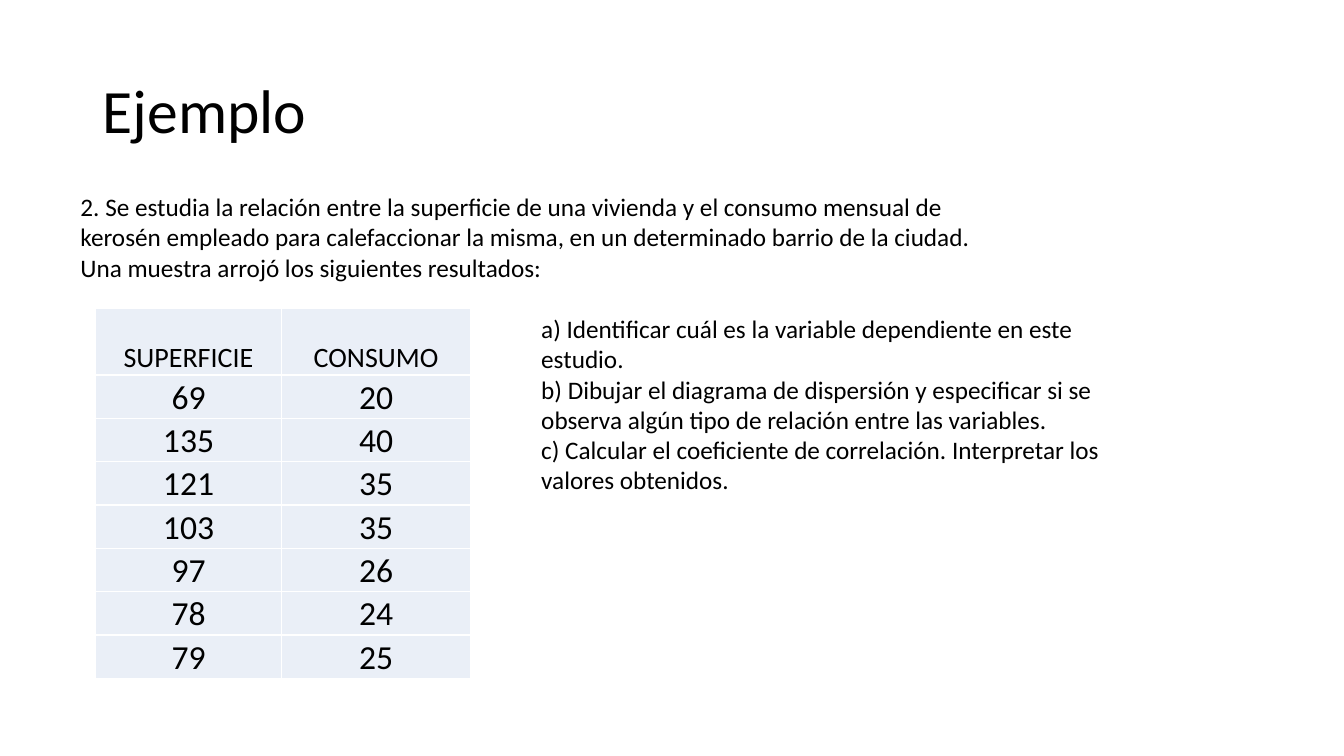
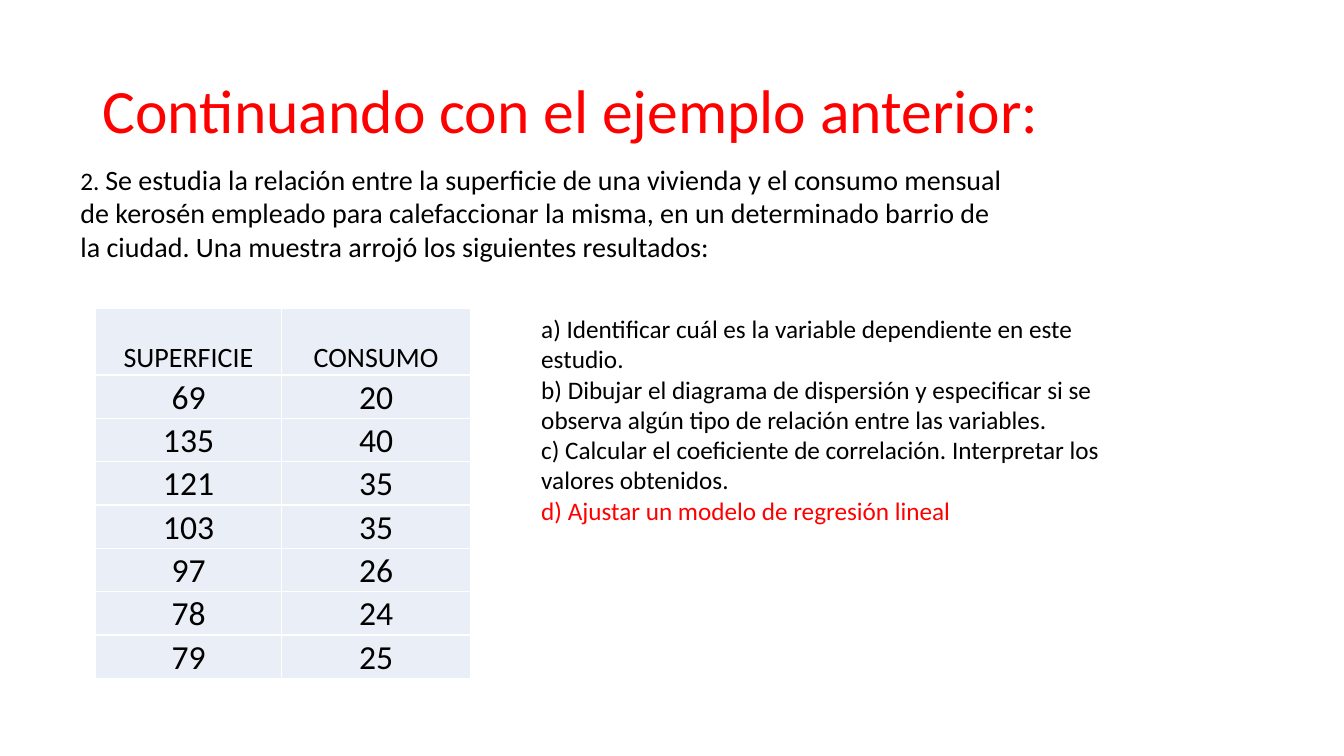
import dataclasses

import lxml.etree
import pptx
import pptx.dml.color
import pptx.enum.text
import pptx.oxml.ns
import pptx.util

PX = 9144
ANCHOR = pptx.enum.text.MSO_ANCHOR
ALIGN = pptx.enum.text.PP_ALIGN
RGB = pptx.dml.color.RGBColor.from_string


@dataclasses.dataclass(frozen=True)
class Theme:
    """Colours, font and type sizes of the slides."""
    font: str = "Calibri"
    ink: str = "000000"
    accent: str = "FF0000"
    cell: str = "EAEFF7"
    border: str = "FFFFFF"
    title: int = 44
    value: int = 24
    large: int = 20
    body: int = 18


THEME = Theme()


def px(n):
    """Turn px into EMU."""
    return pptx.util.Emu(n * PX)


def write(p, text, size=THEME.body, color=THEME.ink, align=None, spacing=None):
    """Add a formatted run to a paragraph."""
    r = p.add_run()
    r.text = text
    r.font.name = THEME.font
    r.font.size = pptx.util.Pt(size)
    r.font.color.rgb = RGB(color)
    if align is not None:
        p.alignment = align
    if spacing is not None:
        p.line_spacing = spacing


class Deck:
    """Builds slides in one style."""

    def __init__(self, width, height):
        """Start an empty presentation."""
        self.prs = pptx.Presentation()
        self.prs.slide_width, self.prs.slide_height = px(width), px(height)
        self.s = None

    def slide(self):
        """Add a blank slide and make it current."""
        self.s = self.prs.slides.add_slide(self.prs.slide_layouts[6])

    def box(self, x, y, w, h):
        """Add a wrapping text box and return its frame."""
        tf = self.s.shapes.add_textbox(px(x), px(y), px(w), px(h)).text_frame
        tf.word_wrap = True
        return tf

    def title(self, text, color):
        """Add the slide title."""
        tf = self.box(92, 40, 1150, 145)
        tf.vertical_anchor = ANCHOR.MIDDLE
        write(tf.paragraphs[0], text, size=THEME.title, color=color, spacing=0.9)

    def text(self, x, y, w, h, paragraphs):
        """Add body text given as paragraphs of (text, format) runs."""
        tf = self.box(x, y, w, h)
        tf.auto_size = pptx.enum.text.MSO_AUTO_SIZE.SHAPE_TO_FIT_TEXT
        for i, runs in enumerate(paragraphs):
            p = tf.add_paragraph() if i else tf.paragraphs[0]
            for text, style in runs:
                write(p, text, **style)

    def cell(self, cell, text, size):
        """Fill one table cell."""
        cell.margin_left = cell.margin_right = cell.margin_top = px(1)
        cell.margin_bottom = 0
        cell.vertical_anchor = ANCHOR.BOTTOM
        tc_pr = cell._tc.get_or_add_tcPr()
        qn = pptx.oxml.ns.qn
        for side in "LRTB":
            ln = lxml.etree.SubElement(tc_pr, qn(f"a:ln{side}"), w=str(pptx.util.Pt(1)))
            fill = lxml.etree.SubElement(ln, qn("a:solidFill"))
            lxml.etree.SubElement(fill, qn("a:srgbClr"), val=THEME.border)
        cell.fill.solid()
        cell.fill.fore_color.rgb = RGB(THEME.cell)
        write(cell.text_frame.paragraphs[0], text, size=size, align=ALIGN.CENTER)

    def table(self, x, y, cols, head, row, data):
        """Add a table with a taller heading row."""
        heights = [head] + [row] * (len(data) - 1)
        table = self.s.shapes.add_table(
            len(data), len(cols), px(x), px(y), px(sum(cols)), px(sum(heights))).table
        table.first_row = table.horz_banding = False
        for column, width in zip(table.columns, cols):
            column.width = px(width)
        for i, values in enumerate(data):
            table.rows[i].height = px(heights[i])
            for j, value in enumerate(values):
                self.cell(table.cell(i, j), str(value), THEME.value if i else THEME.large)


SAMPLE = [("SUPERFICIE", "CONSUMO"), (69, 20), (135, 40), (121, 35),
          (103, 35), (97, 26), (78, 24), (79, 25)]
NUMBER = "2. "
STATEMENT = ("Se estudia la relación entre la superficie de una vivienda y el consumo "
             "mensual de kerosén empleado para calefaccionar la misma, en un determinado "
             "barrio de la ciudad. Una muestra arrojó los siguientes resultados:")
TASKS = [
    [("a) Identificar cuál es la variable dependiente en este estudio.", {})],
    [("b) Dibujar el diagrama de dispersión y especificar si se observa algún tipo de "
      "relación entre las variables.", {})],
    [("c) Calcular el coeficiente de correlación. Interpretar los valores obtenidos.", {})],
]
REGRESSION = [("d) Ajustar un modelo de regresión lineal", {"color": THEME.accent})]


def example(deck, title, color, top, height, size, tasks):
    """Add a slide with the statement, the sample and the tasks."""
    deck.slide()
    deck.title(title, color)
    deck.text(70, top, 944, height, [[(NUMBER, {}), (STATEMENT, {"size": size})]])
    deck.table(95, 306, (184, 188), 66, 43, SAMPLE)
    deck.text(527, 306, 630, 192 if len(tasks) == 3 else 222, tasks)


def main():
    """Build and save the slides."""
    deck = Deck(1333, 750)
    example(deck, "Ejemplo", THEME.ink, 185, 101, THEME.body, TASKS)
    example(deck, "Continuando con el ejemplo anterior:", THEME.accent, 156, 111,
            THEME.large, TASKS + [REGRESSION])
    deck.prs.save("out.pptx")


if __name__ == "__main__":
    main()
